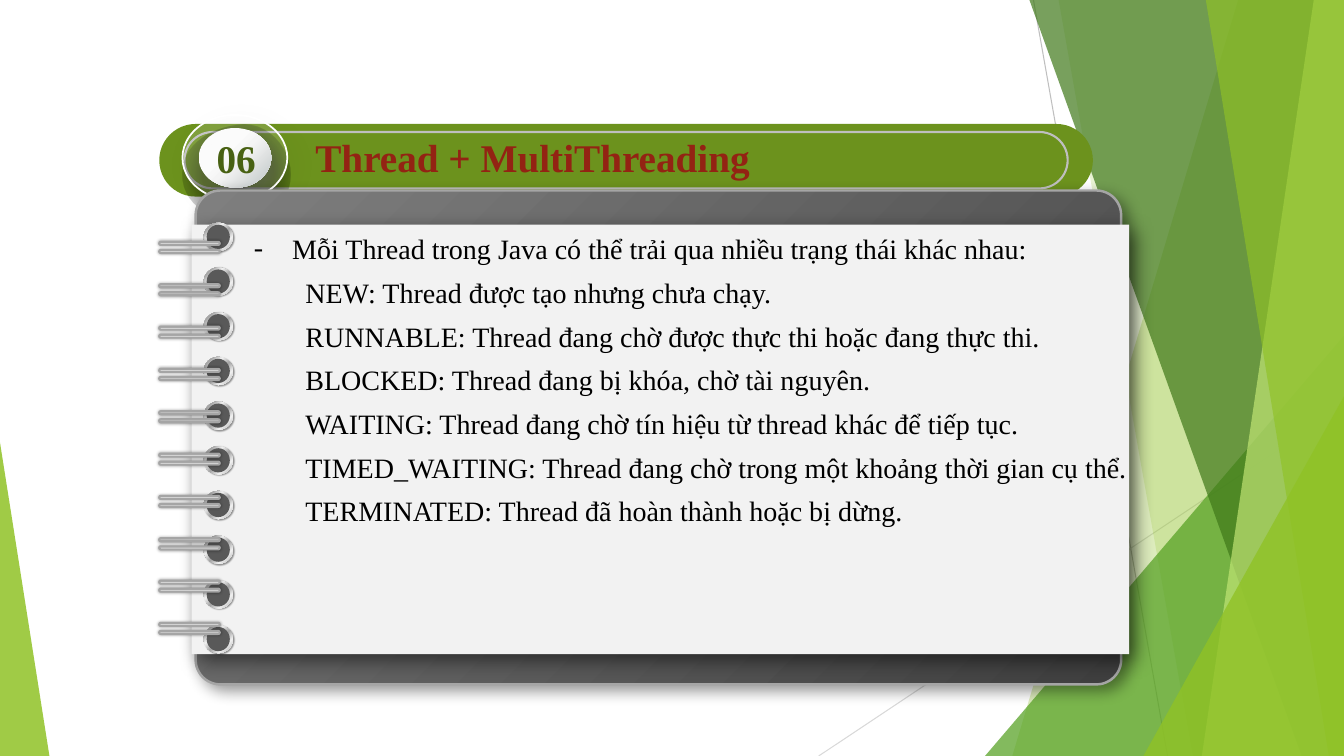
"""Build the notebook slide about the states of a Java thread."""
from lxml.etree import SubElement
from pptx import Presentation
from pptx.dml.color import RGBColor
from pptx.enum.shapes import MSO_CONNECTOR, MSO_SHAPE
from pptx.enum.text import MSO_ANCHOR
from pptx.oxml.ns import qn
from pptx.util import Inches, Pt

BLACK = RGBColor(0x00, 0x00, 0x00)
WHITE = RGBColor(0xFF, 0xFF, 0xFF)
PALE = RGBColor(0xF2, 0xF2, 0xF2)
SILVER = RGBColor(0xBF, 0xBF, 0xBF)
LIGHT_GREY = RGBColor(0xD9, 0xD9, 0xD9)
GREY = RGBColor(0xA5, 0xA5, 0xA5)
MID_GREY = RGBColor(0x7F, 0x7F, 0x7F)
HOLE_GREY = RGBColor(0x59, 0x59, 0x59)
DARK_GREY = RGBColor(0x3F, 0x3F, 0x3F)
SHADOW_GREY = RGBColor(0x49, 0x49, 0x49)
NEAR_WHITE = RGBColor(0xF7, 0xF7, 0xF7)
STEEL = RGBColor(0xB8, 0xC0, 0xC0)
LIME = RGBColor(0x90, 0xC2, 0x26)
GREEN = RGBColor(0x54, 0xA0, 0x21)
FOREST = RGBColor(0x3F, 0x78, 0x19)
PALE_LIME = RGBColor(0xC0, 0xE4, 0x74)
OLIVE = RGBColor(0x6C, 0x92, 0x1D)
DARK_OLIVE = RGBColor(0x48, 0x61, 0x13)
DARK_RED = RGBColor(0x93, 0x23, 0x13)
FONT = "Times New Roman"

presentation = Presentation()
presentation.slide_width = Inches(13.33)
presentation.slide_height = Inches(7.5)
slide = presentation.slides.add_slide(presentation.slide_layouts[6])
shapes = slide.shapes


def paint(shape, fill, alpha=100, angle=45, line=None, shadow=None):
    """Apply a colour or a list of (position, colour, alpha) stops, a line and a shadow."""
    properties = shape._element.spPr
    if isinstance(fill, list):
        shape.fill.gradient()
        gradient = properties.find(qn("a:gradFill"))
        for child in list(gradient):
            gradient.remove(child)
        stops = SubElement(gradient, qn("a:gsLst"))
        for position, color, opacity in fill:
            stop = SubElement(stops, qn("a:gs"), pos=str(position * 1000))
            tint = SubElement(stop, qn("a:srgbClr"), val=str(color))
            SubElement(tint, qn("a:alpha"), val=str(opacity * 1000))
        if angle is None:
            radial = SubElement(gradient, qn("a:path"), path="circle")
            SubElement(radial, qn("a:fillToRect"), l="50000", t="50000", r="50000", b="50000")
        else:
            SubElement(gradient, qn("a:lin"), ang=str(angle * 60000), scaled="0")
    else:
        shape.fill.solid()
        shape.fill.fore_color.rgb = fill
        if alpha < 100:
            tint = properties.find(qn("a:solidFill")).find(qn("a:srgbClr"))
            SubElement(tint, qn("a:alpha"), val=str(alpha * 1000))
    if line:
        shape.line.color.rgb, shape.line.width = line[0], Pt(line[1])
    else:
        shape.line.fill.background()
    shape.shadow.inherit = False
    if shadow:
        color, opacity, blur, distance, direction = shadow
        outer = SubElement(properties.find(qn("a:effectLst")), qn("a:outerShdw"),
                           blurRad=str(Pt(blur)), dist=str(Pt(distance)),
                           dir=str(direction * 60000), algn="ctr", rotWithShape="0")
        tint = SubElement(outer, qn("a:srgbClr"), val=str(color))
        SubElement(tint, qn("a:alpha"), val=str(opacity * 1000))


def add_preset(kind, box, fill, adjustment=None, **style):
    """Add a painted preset shape."""
    shape = shapes.add_shape(kind, *map(Inches, box))
    if adjustment is not None:
        shape.adjustments[0] = adjustment
    paint(shape, fill, **style)


for start, end, color in [((10.25, 0), (11.58, 7.5), SILVER), ((13.33, 4.03), (8.12, 7.5), LIGHT_GREY)]:
    connector = shapes.add_connector(MSO_CONNECTOR.STRAIGHT, *map(Inches, start + end))
    connector.line.color.rgb = color
    connector.line.width = Pt(0.75)
    SubElement(connector._element.spPr, qn("a:effectLst"))

facets = [
    (12.28, 10.04, LIME, 30), (10.5, 11.83, LIME, 20), (9.77, 3.33, 3.56, 4.17, GREEN, 72),
    (10.21, 12.91, FOREST, 70), (13.03, 11.92, PALE_LIME, 70), (11.96, 13.18, LIME, 65),
    (11.34, 3.93, 1.99, 3.57, LIME, 80), (0, 4.39, 0.49, 3.11, LIME, 85),
]
for *geometry, color, alpha in facets:
    if len(geometry) == 4:
        peak = 1 if geometry[0] else 0
        add_preset(MSO_SHAPE.ISOSCELES_TRIANGLE, geometry, color, peak, alpha=alpha)
    else:
        top_left, bottom_left = map(Inches, geometry)
        right, bottom = presentation.slide_width, presentation.slide_height
        builder = shapes.build_freeform(top_left, 0)
        builder.add_line_segments([(right, 0), (right, bottom), (bottom_left, bottom)])
        paint(builder.convert_to_shape(), color, alpha=alpha)

add_preset(MSO_SHAPE.ROUNDED_RECTANGLE, (1.58, 1.23, 9.26, 0.72), OLIVE, 0.5)
add_preset(MSO_SHAPE.ROUNDED_RECTANGLE, (1.83, 1.31, 8.76, 0.56), OLIVE, 0.5, line=(SILVER, 1.5))

glow_start = (2.01, 2.07)
glow_curves = [
    ((1.84, 1.82), (1.78, 1.53), (1.98, 1.34)), ((2.17, 1.15), (2.46, 1.2), (2.7, 1.38)),
    ((2.94, 1.55), (2.92, 1.91), (2.73, 2.1)), ((2.54, 2.29), (2.17, 2.31), glow_start),
]
glow_points = []
current = glow_start
for first, second, last in glow_curves:
    for step in range(1, 13):
        t = step / 12
        glow_points.append(tuple(
            Inches((1 - t) ** 3 * a + 3 * (1 - t) ** 2 * t * b + 3 * (1 - t) * t ** 2 * c + t ** 3 * d)
            for a, b, c, d in zip(current, first, second, last)))
    current = last
builder = shapes.build_freeform(*map(Inches, glow_start))
builder.add_line_segments(glow_points)
glow = builder.convert_to_shape()
glow.rotation = 315
glow_fades = [(0, 100), (17, 46), (34, 43), (51, 20), (65, 10), (78, 5), (100, 0)]
paint(glow, [(position, BLACK, opacity) for position, opacity in glow_fades], angle=None)

badge = [(0, WHITE, 100), (43, NEAR_WHITE, 100), (100, STEEL, 100)]
badge_face = [(11, WHITE, 100), (39, WHITE, 100), (53, NEAR_WHITE, 100), (100, STEEL, 100)]
add_preset(MSO_SHAPE.OVAL, (2.05, 1.36, 0.61, 0.5), badge, shadow=(SHADOW_GREY, 30, 11, 7, 45))
add_preset(MSO_SHAPE.OVAL, (1.97, 1.27, 0.72, 0.59), badge_face)
add_preset(MSO_SHAPE.OVAL, (1.81, 1.14, 1.04, 0.85), WHITE, alpha=14, line=(WHITE, 1.25),
           shadow=(BLACK, 11, 17, 7, 45))

for left, top, width, text, color in [(2.05, 1.28, 0.6, "06", DARK_OLIVE),
                                      (3.03, 1.27, 7.55, "Thread + MultiThreading", DARK_RED)]:
    text_frame = shapes.add_textbox(*map(Inches, (left, top, width, 0.57))).text_frame
    text_frame.word_wrap = True
    text_frame.text = text
    font = text_frame.paragraphs[0].runs[0].font
    font.name, font.size, font.bold = FONT, Pt(28), True
    font.color.rgb = color

add_preset(MSO_SHAPE.ROUNDED_RECTANGLE, (1.94, 1.89, 9.18, 4.9),
           [(0, MID_GREY, 100), (100, DARK_GREY, 100)], 0.05,
           line=(GREY, 1.75), shadow=(BLACK, 40, 11, 6, 45))
add_preset(MSO_SHAPE.RECTANGLE, (1.9, 2.23, 9.3, 4.26), PALE, shadow=(BLACK, 50, 14, 7, 45))

ring = [(0, WHITE, 100), (17, GREY, 100), (35, PALE, 100), (55, GREY, 100), (75, PALE, 100), (100, GREY, 100)]
wire = [(0, MID_GREY, 100), (23, GREY, 100), (52, LIGHT_GREY, 100), (74, WHITE, 100), (100, GREY, 100)]
RING_COUNT = 10
for index in range(RING_COUNT):
    center = 2.35 + index * 3.99 / (RING_COUNT - 1)
    add_preset(MSO_SHAPE.OVAL, (2.02, center - 0.14, 0.29, 0.28), ring, shadow=(BLACK, 40, 1, 1, 45))
    add_preset(MSO_SHAPE.OVAL, (2.05, center - 0.12, 0.23, 0.24), HOLE_GREY)
for index in range(RING_COUNT):
    for offset in (0.08, 0):
        add_preset(MSO_SHAPE.ROUNDED_RECTANGLE, (1.58, 2.4 + index * 0.42 + offset, 0.6, 0.03),
                   wire, 0.5, angle=90, line=(GREY, 1.5), shadow=(BLACK, 40, 2, 0, 0))

states = [
    "Mỗi Thread trong Java có thể trải qua nhiều trạng thái khác nhau:",
    "NEW: Thread được tạo nhưng chưa chạy.",
    "RUNNABLE: Thread đang chờ được thực thi hoặc đang thực thi.",
    "BLOCKED: Thread đang bị khóa, chờ tài nguyên.",
    "WAITING: Thread đang chờ tín hiệu từ thread khác để tiếp tục.",
    "TIMED_WAITING: Thread đang chờ trong một khoảng thời gian cụ thể.",
    "TERMINATED: Thread đã hoàn thành hoặc bị dừng.",
]
text_frame = shapes.add_textbox(Inches(2.23), Inches(2.15), Inches(9.11), Inches(3.16)).text_frame
text_frame.word_wrap = True
text_frame.vertical_anchor = MSO_ANCHOR.TOP
text_frame.text = "\n".join(states)
for index, paragraph in enumerate(text_frame.paragraphs):
    paragraph.line_spacing = 1.3
    properties = paragraph._p.get_or_add_pPr()
    properties.set("marL", str(Inches(0.7 if index else 0.57)))
    properties.set("indent", str(Inches(0 if index else -0.38)))
    if index == 0:
        bullet_color = SubElement(properties, qn("a:buClr"))
        SubElement(bullet_color, qn("a:srgbClr"), val=str(BLACK))
        SubElement(properties, qn("a:buFont"), typeface=FONT)
        SubElement(properties, qn("a:buChar"), char="-")
    font = paragraph.runs[0].font
    font.name, font.size = FONT, Pt(20)
    font.color.rgb = BLACK

presentation.save("out.pptx")
